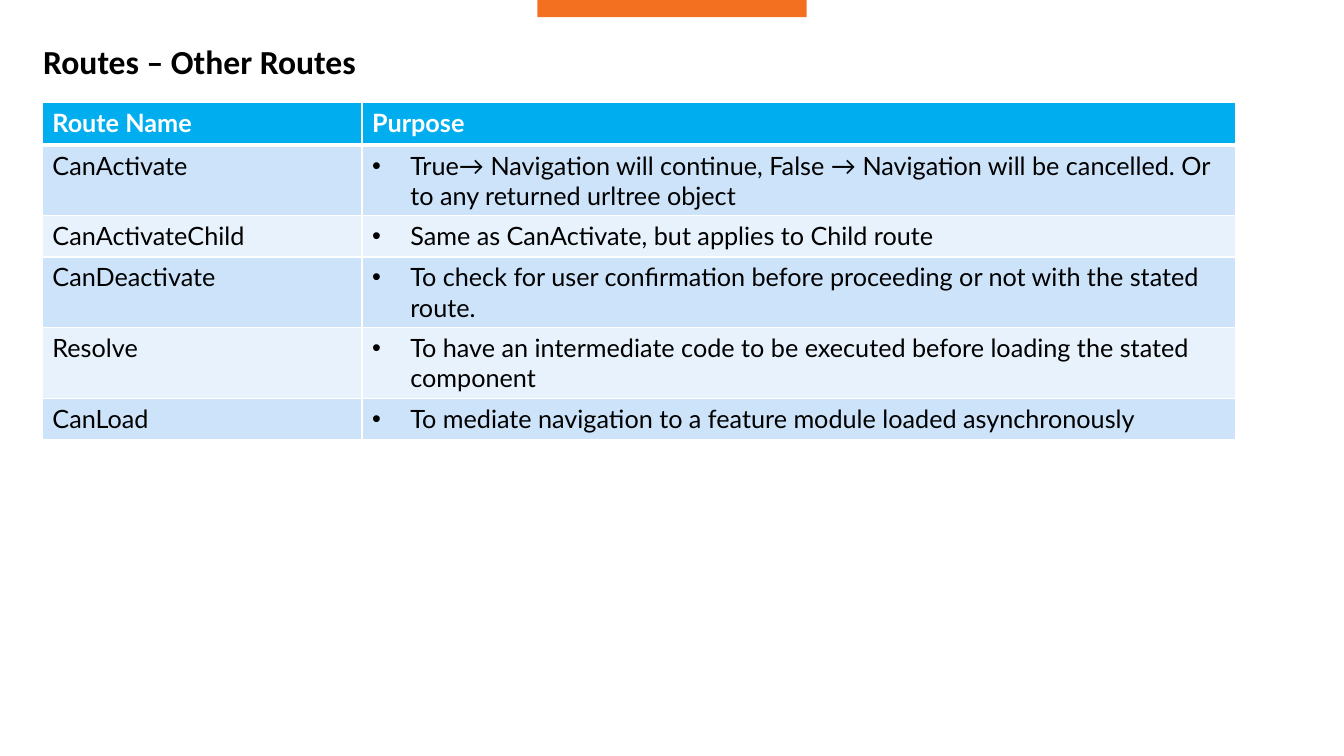
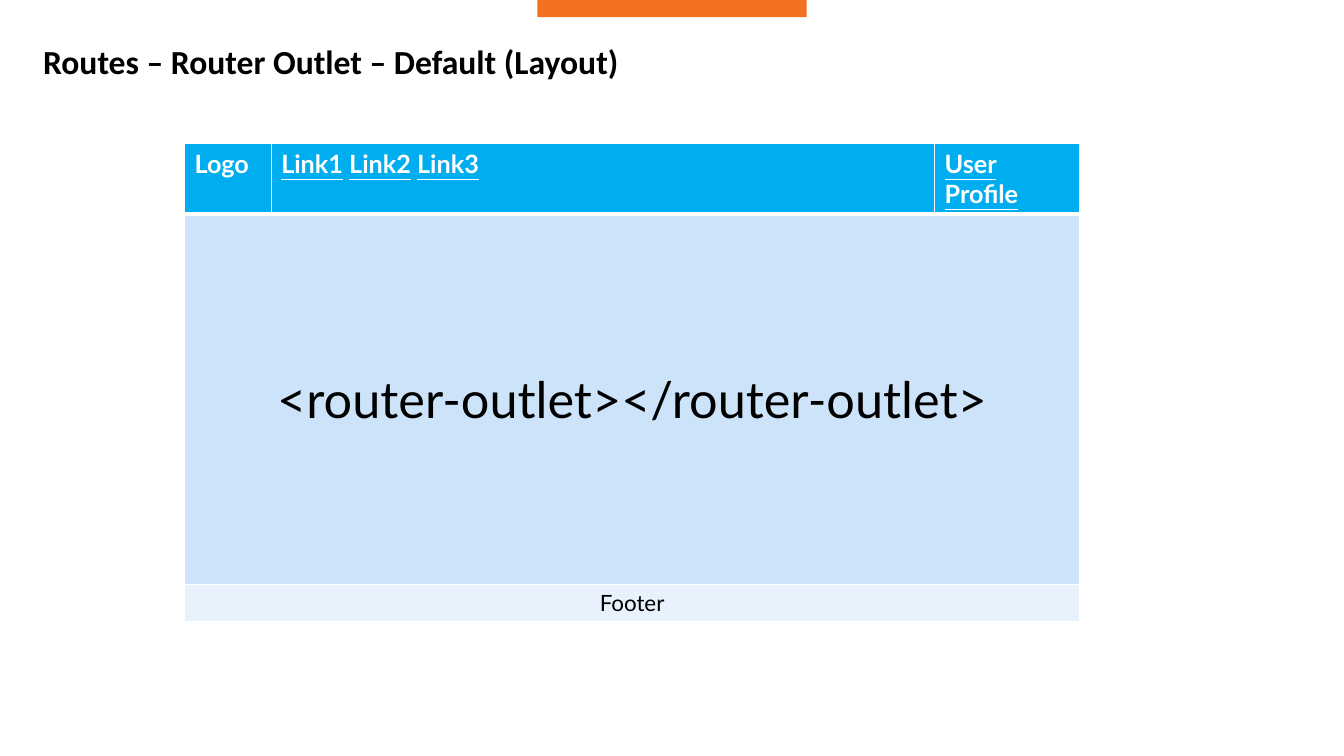
import pptx
import pptx.util
import pptx.dml.color
import pptx.enum.shapes
import pptx.enum.text
import pptx.oxml
from lxml import etree

Inches, Pt = pptx.util.Inches, pptx.util.Pt
ALIGN = pptx.enum.text.PP_ALIGN
MID = pptx.enum.text.MSO_ANCHOR.MIDDLE
NS = "http://schemas.openxmlformats.org/drawingml/2006/main"
ORANGE, BLUE, BLACK, WHITE = "F37021", "00AEEF", "000000", "FFFFFF"
BANDS = ["E7F2FC", "CCE3F9"]  # even rows, odd rows


def paint(part, color):
    """Give a solid colour to anything with a fill."""
    part.fill.solid()
    part.fill.fore_color.rgb = pptx.dml.color.RGBColor.from_string(color)


def write(par, text, size, color, bold=False, line=False, face="Lato"):
    """Add one run of text to a paragraph."""
    run = par.add_run()
    run.text = text
    font = run.font
    font.name, font.size = face, Pt(size)
    font.bold, font.underline = bold, line
    paint(font, color)


deck = pptx.Presentation()
deck.slide_width, deck.slide_height = Inches(13.33), Inches(7.5)

# Shared parts: orange bar and title; then an empty table for each slide
plans = [
    ("Routes – Other Routes", (0.42, 1.02),
     [3.17, 8.67], [0.42, 0.7, 0.41, 0.7, 0.7, 0.41]),
    ("Routes – Router Outlet – Default (Layout)", (1.83, 1.42),
     [0.86, 6.58, 1.44], [0.7, 3.68, 0.36]),
]
grids = []
for title, (left, top), cols, rows in plans:
    slide = deck.slides.add_slide(deck.slide_layouts[6])
    bar = slide.shapes.add_shape(
        pptx.enum.shapes.MSO_SHAPE.RECTANGLE,
        Inches(5.33), 0, Inches(2.67), Inches(0.17))
    bar.shadow.inherit = False
    bar.line.fill.background()
    paint(bar, ORANGE)

    box = slide.shapes.add_textbox(
        Inches(0.33), Inches(0.43), Inches(12.67), Inches(0.57))
    box.text_frame.word_wrap = True
    par = box.text_frame.paragraphs[0]
    par.line_spacing = 0.8
    write(par, title, 24, BLACK, bold=True, face="Calibri")

    grid = slide.shapes.add_table(
        len(rows), len(cols), Inches(left), Inches(top),
        Inches(sum(cols)), Inches(sum(rows))).table
    grid.horz_banding = False
    for col, width in zip(grid.columns, cols):
        col.width = Inches(width)
    for row, height in zip(grid.rows, rows):
        row.height = Inches(height)

    # White borders, thick below the header; banded fills
    for y in range(len(rows)):
        for x in range(len(cols)):
            cell = grid.cell(y, x)
            props = cell._tc.get_or_add_tcPr()
            for side in "LRTB":
                thick = (y, side) in [(0, "B"), (1, "T")]
                edge = etree.SubElement(
                    props, f"{{{NS}}}ln{side}", w=str(Pt(3 if thick else 1)))
                solid = etree.SubElement(edge, f"{{{NS}}}solidFill")
                etree.SubElement(solid, f"{{{NS}}}srgbClr", val=WHITE)
            paint(cell, BANDS[y % 2] if y else BLUE)
    grids.append(grid)

routes, layout = grids

# Slide 1: route names and their purpose
guards = [
    ("Route Name", "Purpose"),
    ("CanActivate", "True→ Navigation will continue, False → Navigation will "
     "be cancelled. Or to any returned urltree object"),
    ("CanActivateChild", "Same as CanActivate, but applies to Child route"),
    ("CanDeactivate", "To check for user confirmation before proceeding or "
     "not with the stated route."),
    ("Resolve", "To have an intermediate code to be executed before loading "
     "the stated component"),
    ("CanLoad", "To mediate navigation to a feature module loaded "
     "asynchronously"),
]
for y, texts in enumerate(guards):
    for x, text in enumerate(texts):
        par = routes.cell(y, x).text_frame.paragraphs[0]
        if y and x:
            props = par._p.get_or_add_pPr()
            props.set("marL", str(Inches(0.38)))
            props.set("indent", str(-Inches(0.38)))
            etree.SubElement(props, f"{{{NS}}}buFont", typeface="Arial")
            etree.SubElement(props, f"{{{NS}}}buChar", char="•")
        write(par, text, 18, BLACK if y else WHITE, bold=y == 0)

# Slide 2: page header with links
heads = [["Logo"], ["Link1", " ", "Link2", " ", "Link3"], ["User Profile"]]
for x, texts in enumerate(heads):
    par = layout.cell(0, x).text_frame.paragraphs[0]
    for text in texts:
        write(par, text, 18, WHITE, bold=True, line=text not in ("Logo", " "))

# Slide 2: outlet and footer across the full width
for y, text, size in [(1, "<router-outlet></router-outlet>", 36),
                      (2, "Footer", 16)]:
    cell = layout.cell(y, 0)
    cell.merge(layout.cell(y, 2))
    cell.vertical_anchor = MID
    par = cell.text_frame.paragraphs[0]
    par.alignment = ALIGN.CENTER
    write(par, text, size, BLACK)

deck.save("out.pptx")
